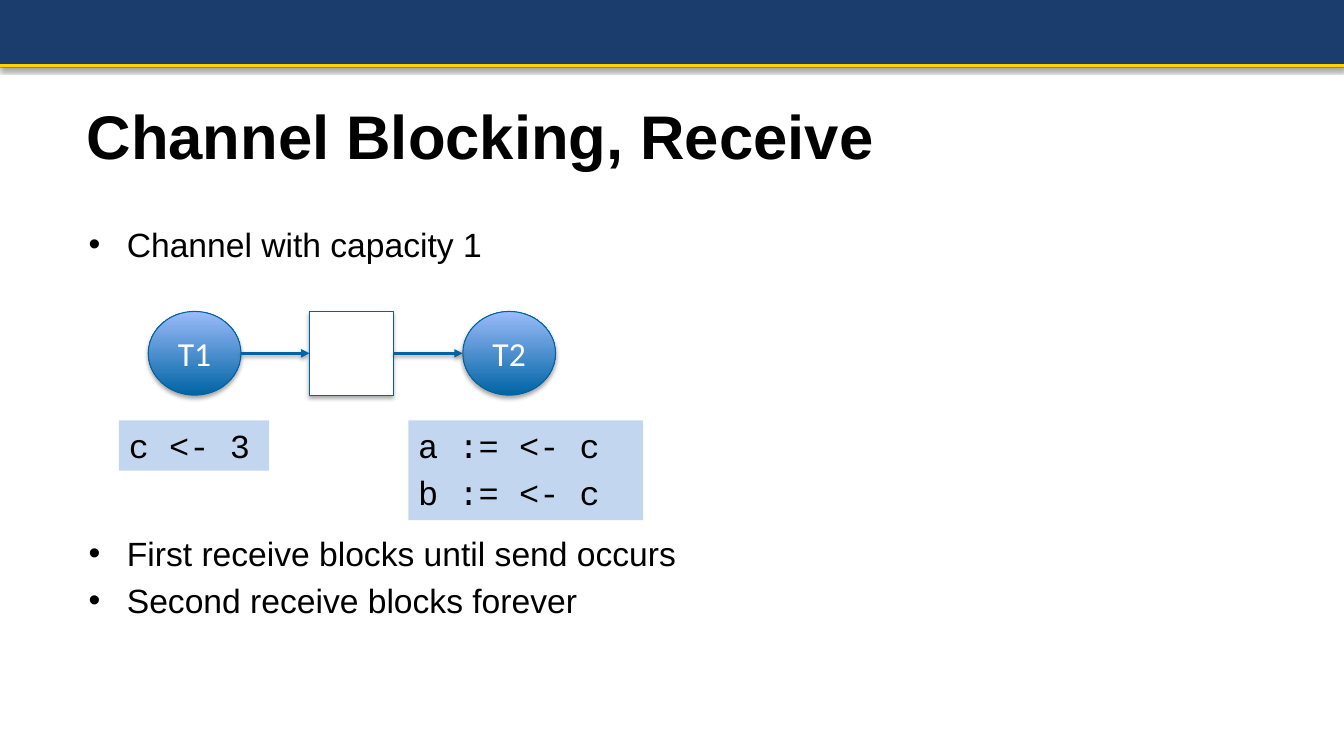
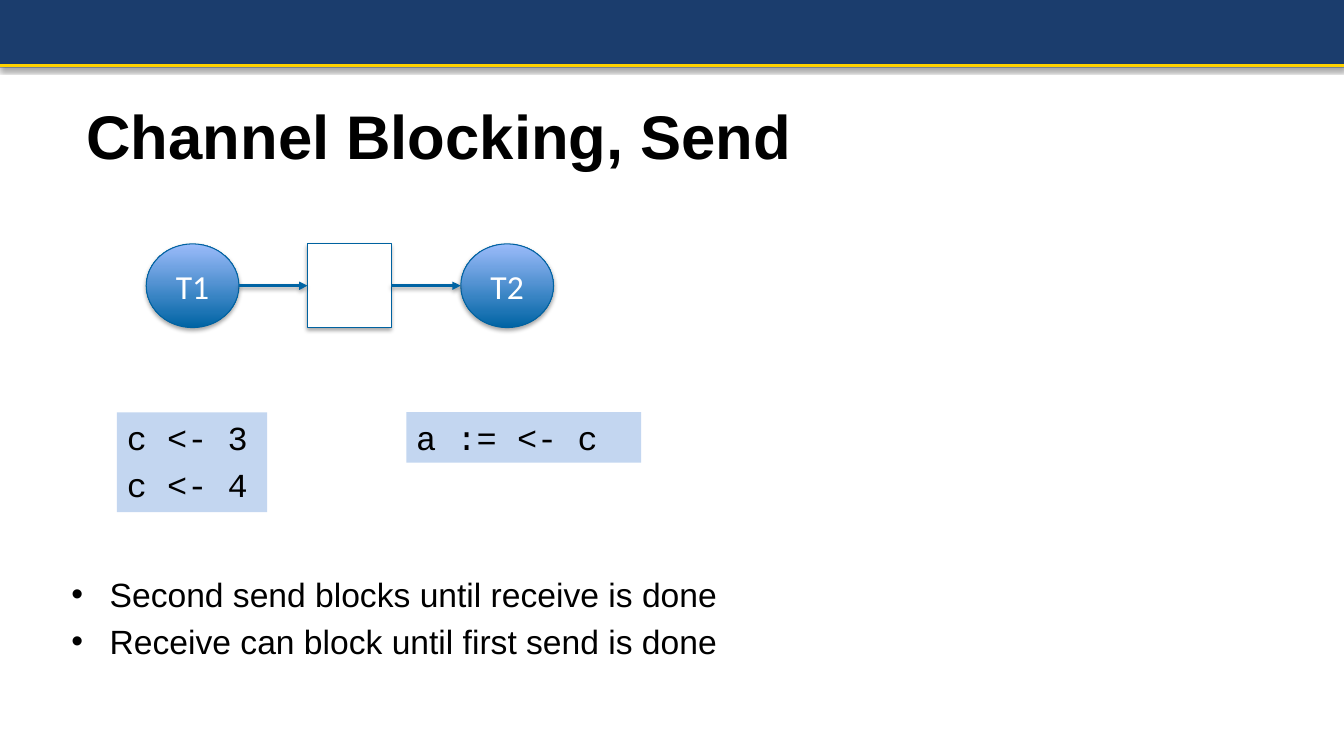
from lxml import etree
from pptx import Presentation
from pptx.dml.color import RGBColor
from pptx.enum.shapes import MSO_CONNECTOR, MSO_SHAPE
from pptx.enum.text import MSO_ANCHOR, MSO_AUTO_SIZE, PP_ALIGN
from pptx.oxml.ns import qn
from pptx.util import Inches, Pt

RECT, OVAL = MSO_SHAPE.RECTANGLE, MSO_SHAPE.OVAL
STRAIGHT = MSO_CONNECTOR.STRAIGHT
MIDDLE, TOP = MSO_ANCHOR.MIDDLE, MSO_ANCHOR.TOP
CENTER = PP_ALIGN.CENTER
GROW = MSO_AUTO_SIZE.SHAPE_TO_FIT_TEXT

COLORS = {
    "band": "1B3D6D", "rule": "FFD200", "text": "000000", "white": "FFFFFF",
    "outline": "0062A0", "blue": "0064A4", "light_blue": "9BBBFA",
    "code": "C3D6F0",
}
SLIDE_W, SLIDE_H = 13.33, 7.5
BODY_SIZE = 24
INDENT = 0.38
# Connection sites of a rectangle; an oval has twice as many
LEFT_SITE, RIGHT_SITE = 1, 3


def rgb(name):
    """Look up a palette colour."""
    return RGBColor.from_string(COLORS[name])


def add_effects(sp, alpha=None, dist=1.8):
    """Replace the theme shadow by a soft one below, or by none."""
    effects = etree.SubElement(sp._element.spPr, qn("a:effectLst"))
    if alpha:
        shadow = etree.SubElement(
            effects, qn("a:outerShdw"), blurRad=str(Pt(3.1)),
            dist=str(Pt(dist)), dir="5400000", rotWithShape="0")
        color = etree.SubElement(shadow, qn("a:srgbClr"), val="000000")
        etree.SubElement(color, qn("a:alpha"), val=str(alpha * 1000))


def add_run(p, text, size, font, color, bold=False):
    """Append one formatted run to a paragraph."""
    r = p.add_run()
    r.text = text
    r.font.size, r.font.name, r.font.bold = Pt(size), font, bold
    r.font.color.rgb = rgb(color)


def add_line(shapes, start, end, color, width):
    """Draw a straight line between two points."""
    line = shapes.add_connector(STRAIGHT, *map(Inches, start + end))
    line.line.color.rgb = rgb(color)
    line.line.width = Pt(width)
    return line


def add_band(slide):
    """Draw the top band and its yellow rule."""
    band = slide.shapes.add_shape(RECT, 0, 0, Inches(SLIDE_W), Inches(0.67))
    band.fill.solid()
    band.fill.fore_color.rgb = rgb("band")
    band.line.fill.background()
    add_effects(band, 35)
    rule = add_line(slide.shapes, (0, 0.65), (SLIDE_W, 0.65), "rule", 2.25)
    add_effects(rule)


def add_text_box(slide, left, top, width, height, anchor=TOP, wrap=True):
    """Add an empty text box that grows with its text."""
    box = slide.shapes.add_textbox(*map(Inches, (left, top, width, height)))
    tf = box.text_frame
    tf.word_wrap, tf.auto_size, tf.vertical_anchor = wrap, GROW, anchor
    return box


def add_title(slide, text, width):
    """Add the slide title."""
    box = add_text_box(slide, 0.76, 0.92, width, 0.84, MIDDLE, wrap=False)
    add_run(box.text_frame.paragraphs[0], text, 44, "Arial", "text", True)


def add_lines(slide, left, top, width, lines, font="Arial", bullet=False):
    """Add a box with one paragraph per line of body text."""
    box = add_text_box(slide, left, top, width, 0.01 + 0.49 * len(lines))
    tf = box.text_frame
    for i, text in enumerate(lines):
        p = tf.add_paragraph() if i else tf.paragraphs[0]
        pPr = p._p.get_or_add_pPr()
        before = etree.SubElement(pPr, qn("a:spcBef"))
        etree.SubElement(before, qn("a:spcPct"), val="20000")
        if bullet:
            pPr.set("marL", str(Inches(INDENT)))
            pPr.set("indent", str(-Inches(INDENT)))
            etree.SubElement(pPr, qn("a:buFont"), typeface="Arial")
            etree.SubElement(pPr, qn("a:buChar"), char="•")
        add_run(p, text, BODY_SIZE, font, "text")
    return box


def add_bullets(slide, left, top, width, lines):
    """Add a bulleted list."""
    add_lines(slide, left, top, width, lines, bullet=True)


def add_code(slide, left, top, width, lines):
    """Add a code listing on a pale blue ground."""
    box = add_lines(slide, left, top, width, lines, "Courier New")
    box.fill.solid()
    box.fill.fore_color.rgb = rgb("code")


def add_node(shapes, kind, left, top, width, label=""):
    """Draw a thread (gradient oval) or the channel (white square)."""
    sp = shapes.add_shape(kind, *map(Inches, (left, top, width, 0.83)))
    if kind == OVAL:
        sp.fill.gradient()
        sp.fill.gradient_angle = 90
        stops = zip(sp.fill.gradient_stops, ("blue", "light_blue"), (0, 1))
        for stop, color, position in stops:
            stop.color.rgb = rgb(color)
            stop.position = position
    else:
        sp.fill.solid()
        sp.fill.fore_color.rgb = rgb("white")
    sp.line.color.rgb = rgb("outline")
    sp.line.width = Pt(0.75)
    add_effects(sp, 35)
    if label:
        sp.text_frame.vertical_anchor = MIDDLE
        p = sp.text_frame.paragraphs[0]
        p.alignment = CENTER
        add_run(p, label, BODY_SIZE, "Calibri", "white")
    return sp


def add_arrow(shapes, source, target, x, y):
    """Connect two nodes with an arrow that starts at x, y."""
    arrow = add_line(shapes, (x, y), (x + 0.68, y), "blue", 2)
    arrow.begin_connect(source, RIGHT_SITE)
    arrow.end_connect(target, LEFT_SITE)
    ends = ((source, "a:stCxn", RIGHT_SITE), (target, "a:endCxn", LEFT_SITE))
    for node, tag, site in ends:
        if node.auto_shape_type == OVAL:
            for end in arrow._element.iter(qn(tag)):
                end.set("idx", str(2 * site))
    etree.SubElement(arrow.line._get_or_add_ln(), qn("a:tailEnd"),
                     type="triangle")
    add_effects(arrow, 38, 1.6)


def add_channel_diagram(slide, left, top, code_top, sender, receiver):
    """Draw T1, channel and T2 with the code of both threads below."""
    shapes = slide.shapes.add_group_shape().shapes
    t1 = add_node(shapes, OVAL, left, top, 0.92, "T1")
    channel = add_node(shapes, RECT, left + 1.6, top, 0.83)
    t2 = add_node(shapes, OVAL, left + 3.12, top, 0.92, "T2")
    middle = top + 0.415
    add_arrow(shapes, t1, channel, left + 0.92, middle)
    add_arrow(shapes, channel, t2, left + 2.43, middle)
    add_code(slide, left - 0.29, code_top, 1.49, sender)
    add_code(slide, left + 2.58, code_top, 2.33, receiver)


def new_slide(prs, title, title_width):
    """Add a blank slide with band and title."""
    slide = prs.slides.add_slide(prs.slide_layouts[6])
    add_band(slide)
    add_title(slide, title, title_width)
    return slide


def main():
    """Build and save the presentation."""
    prs = Presentation()
    prs.slide_width, prs.slide_height = Inches(SLIDE_W), Inches(SLIDE_H)

    slide = new_slide(prs, "Channel Blocking, Receive", 8.09)
    add_bullets(slide, 0.78, 2.17, 4.64, ["Channel with capacity 1"])
    add_channel_diagram(slide, 1.47, 3.09, 4.17,
                        ["c <- 3"], ["a := <- c", "b := <- c"])
    add_bullets(slide, 0.78, 5.24, 6.55,
                ["First receive blocks until send occurs",
                 "Second receive blocks forever"])

    slide = new_slide(prs, "Channel Blocking, Send", 7.27)
    add_channel_diagram(slide, 1.45, 2.42, 4.09,
                        ["c <- 3", "c <- 4"], ["a := <- c"])
    add_bullets(slide, 0.61, 5.64, 6.83,
                ["Second send blocks until receive is done",
                 "Receive can block until first send is done"])

    prs.save("out.pptx")


main()
